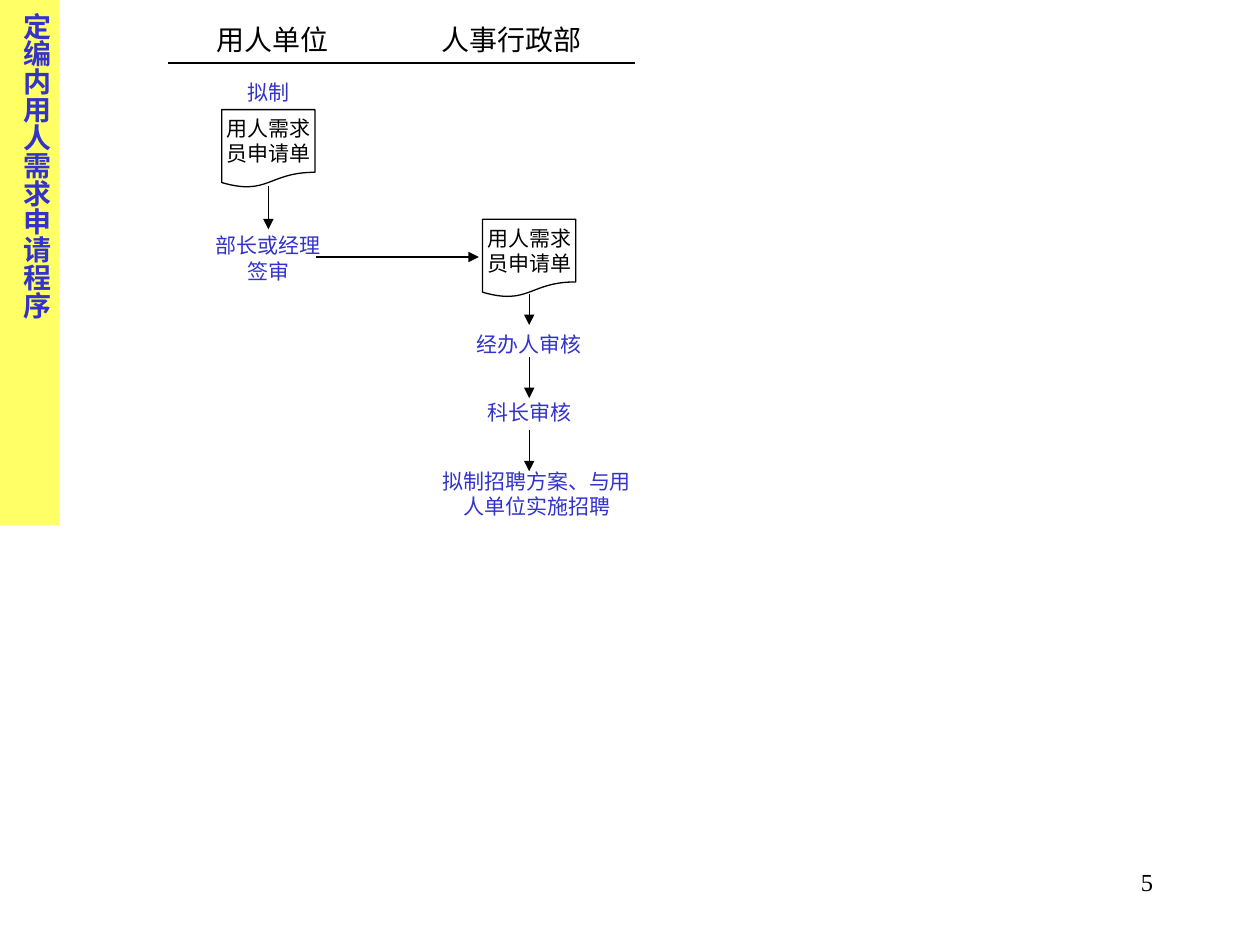
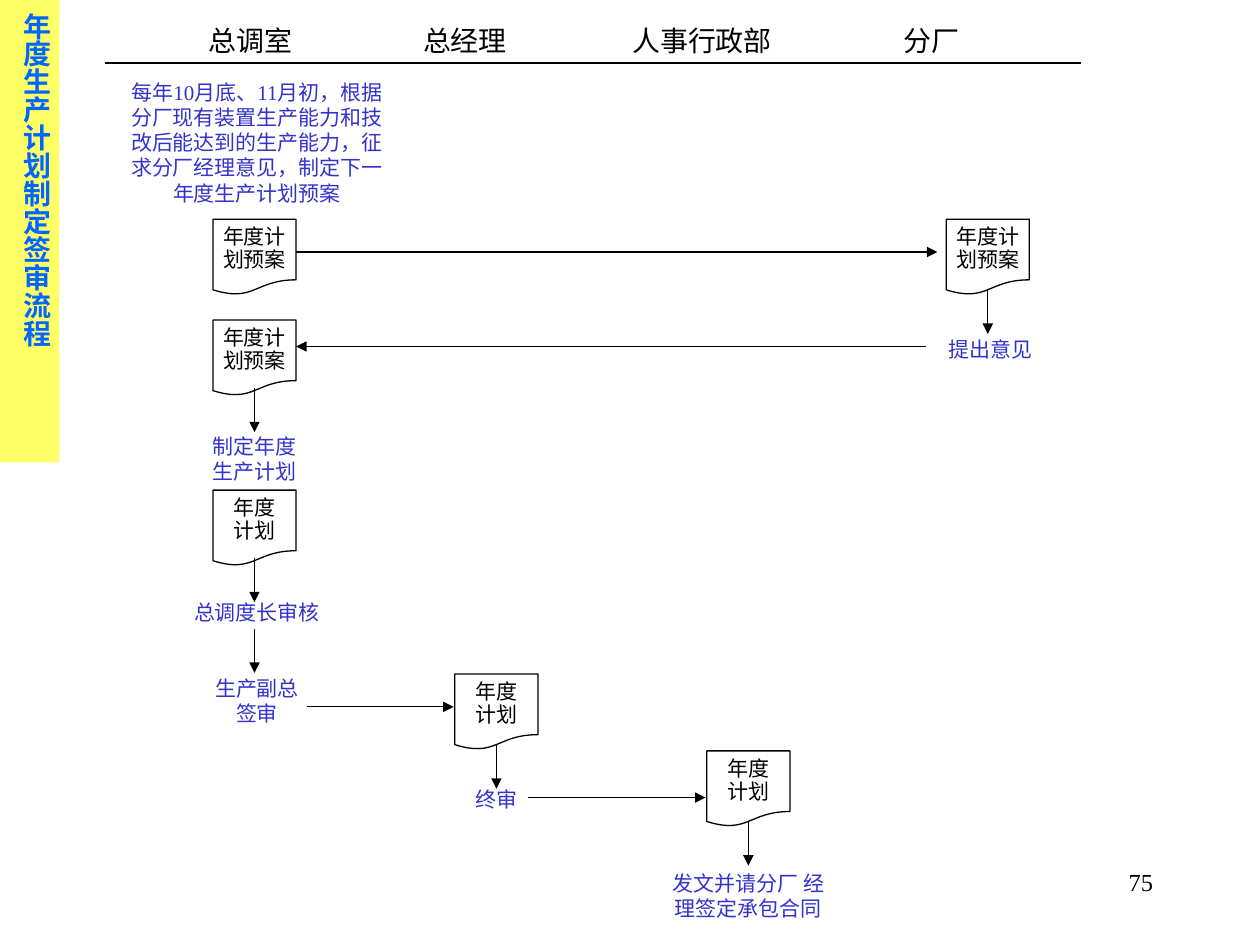
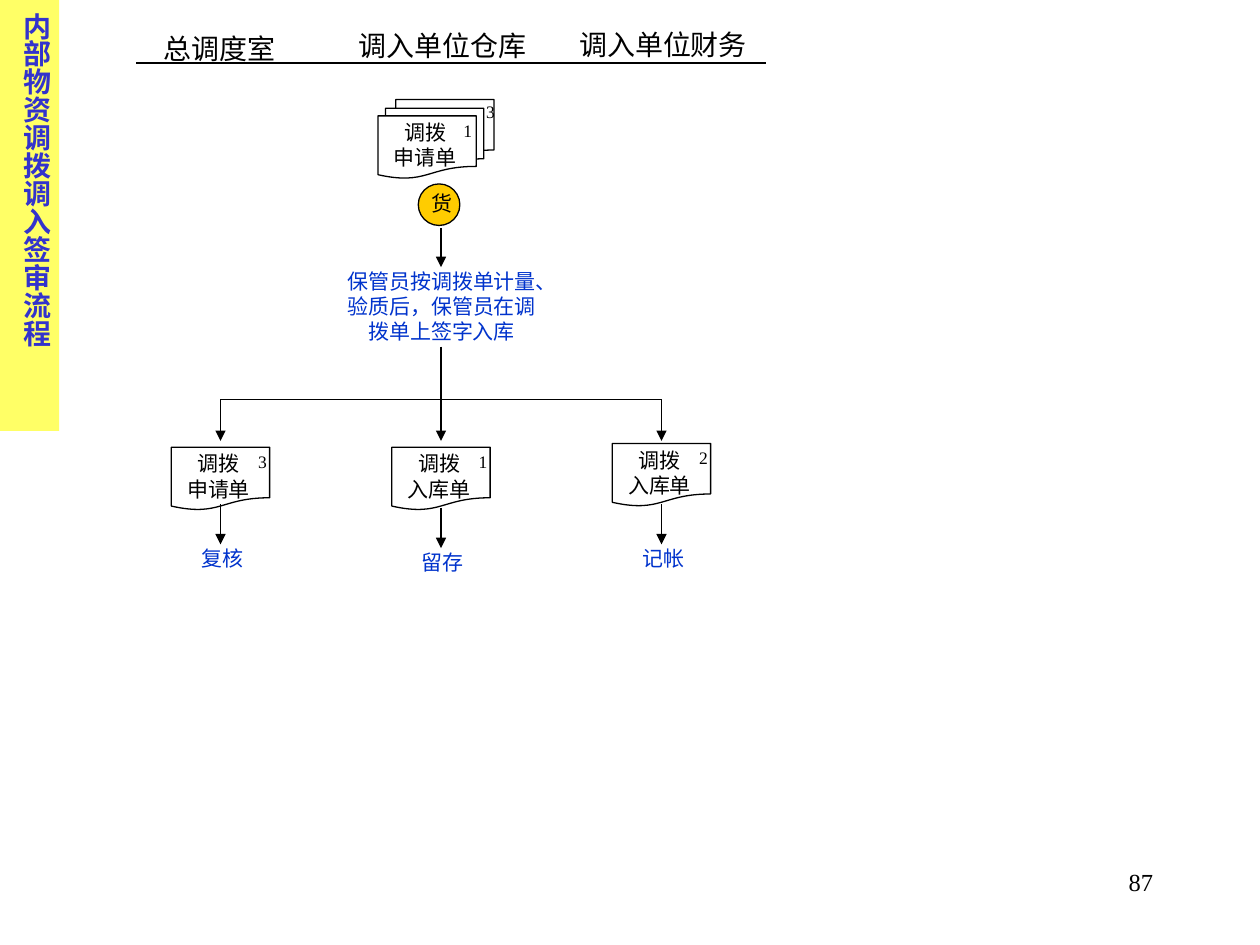
from pptx import Presentation
from pptx.dml.color import RGBColor
from pptx.enum.shapes import MSO_CONNECTOR, MSO_SHAPE
from pptx.enum.text import MSO_ANCHOR, PP_ALIGN
from pptx.oxml.ns import qn
from pptx.util import Inches, Pt

LEFT, CENTER, RIGHT, JUSTIFY = PP_ALIGN.LEFT, PP_ALIGN.CENTER, PP_ALIGN.RIGHT, PP_ALIGN.JUSTIFY
TOP, MIDDLE = MSO_ANCHOR.TOP, MSO_ANCHOR.MIDDLE
DOCUMENT, OVAL, RECTANGLE = MSO_SHAPE.FLOWCHART_DOCUMENT, MSO_SHAPE.OVAL, MSO_SHAPE.RECTANGLE
STRAIGHT = MSO_CONNECTOR.STRAIGHT

BLACK = RGBColor(0x00, 0x00, 0x00)
WHITE = RGBColor(0xFF, 0xFF, 0xFF)
YELLOW = RGBColor(0xFF, 0xFF, 0x66)
GOLD = RGBColor(0xFF, 0xCC, 0x00)
INDIGO = RGBColor(0x33, 0x33, 0xCC)
BRIGHT_BLUE = RGBColor(0x00, 0x66, 0xFF)
DEEP_BLUE = RGBColor(0x00, 0x33, 0xCC)
FONT = "Times New Roman"

BAND_WIDTH = 0.47
RULE_Y = 0.5
HEADING_WIDTH = 1.67


def add_box(slide, box, text="", color=BLACK, size=12, align=CENTER, preset=None, fill=WHITE,
            line=BLACK, spacing=None, bold=False, anchor=TOP, wrap=True):
    """Add a text box, or a filled preset shape, with one paragraph per line of text."""
    lengths = [Inches(length) for length in box]
    if preset is None:
        shape = slide.shapes.add_textbox(*lengths)
    else:
        shape = slide.shapes.add_shape(preset, *lengths)
        shape.shadow.inherit = False
        shape.fill.solid()
        shape.fill.fore_color.rgb = fill
        if line is None:
            shape.line.fill.background()
        else:
            shape.line.color.rgb = line
            shape.line.width = Pt(0.75)
    frame = shape.text_frame
    frame.word_wrap = wrap
    frame.vertical_anchor = anchor
    for index, content in enumerate(text.splitlines()):
        paragraph = frame.add_paragraph() if index else frame.paragraphs[0]
        paragraph.alignment = align
        paragraph.line_spacing = spacing
        run = paragraph.add_run()
        run.text = content
        run.font.name = FONT
        run.font.size = Pt(size)
        run.font.bold = bold
        run.font.color.rgb = color
    return shape


def add_line(slide, x1, y1, x2, y2, arrow=True):
    connector = slide.shapes.add_connector(
        STRAIGHT, Inches(x1), Inches(y1), Inches(x2), Inches(y2))
    connector.line.color.rgb = BLACK
    connector.line.width = Pt(0.75)
    properties = connector._element.spPr
    if arrow:
        outline = connector.line._get_or_add_ln()
        outline.append(outline.makeelement(qn("a:tailEnd"), {"type": "triangle"}))
    properties.append(properties.makeelement(qn("a:effectLst"), {}))


presentation = Presentation()
presentation.slide_width = Inches(10)
presentation.slide_height = Inches(7.5)

# Frame of every slide: title, its colour, band height, rule ends, page, headings (left, top, text)
FRAMES = [
    ("定编内用人需求申请程序", INDIGO, 4.17, (1.33, 5.04), "5",
     [(1.62, 0.13, "用人单位"), (3.41, 0.13, "人事行政部")]),
    ("年度生产计划制定签审流程", BRIGHT_BLUE, 3.67, (0.83, 8.58), "75",
     [(1.56, 0.14, "总调室"), (3.26, 0.14, "总经理"),
      (4.92, 0.14, "人事行政部"), (7.07, 0.14, "分厂")]),
    ("内部物资调拨调入签审流程", INDIGO, 3.42, (1.08, 6.08), "87",
     [(1.2, 0.2, "总调度室"), (2.75, 0.18, "调入单位仓库"), (4.5, 0.17, "调入单位财务")]),
]
slides = []
for title, title_color, band_height, (rule_start, rule_end), page, headings in FRAMES:
    slide = presentation.slides.add_slide(presentation.slide_layouts[6])
    slides.append(slide)
    band = add_box(slide, (0, 0, BAND_WIDTH, band_height), title, title_color, 16, JUSTIFY,
                   preset=RECTANGLE, fill=YELLOW, line=None, bold=True)
    band.text_frame._txBody.bodyPr.set("vert", "eaVert")
    for left, top, heading in headings:
        add_box(slide, (left, top, HEADING_WIDTH, 0.37), heading, size=16, align=LEFT)
    add_line(slide, rule_start, RULE_Y, rule_end, RULE_Y, arrow=False)
    add_box(slide, (7.17, 6.83, 2.08, 0.5), page, size=14, align=RIGHT)
request_slide, plan_slide, transfer_slide = slides

# Staff request: two columns
UNIT, PERSONNEL = 2.13, 4.2
for center, top in [(UNIT, 0.87), (PERSONNEL, 1.74)]:
    add_box(request_slide, (center - 0.37, top, 0.74, 0.62), "用人需求\n员申请单",
            preset=DOCUMENT, anchor=MIDDLE, wrap=False)
for center, top, width, step in [
    (UNIT, 0.58, 0.75, "拟制"),
    (UNIT, 1.8, 1.12, "部长或经理签审"),
    (PERSONNEL, 2.58, 1.5, "经办人审核"),
    (PERSONNEL, 3.12, 1.12, "科长审核"),
    (PERSONNEL + 0.06, 3.67, 1.8, "拟制招聘方案、与用人单位实施招聘"),
]:
    add_box(request_slide, (center - width / 2, top, width, 0.3), step, INDIGO)
for center, start, end in [(UNIT, 1.48, 1.82), (PERSONNEL, 2.33, 2.58),
                           (PERSONNEL, 2.83, 3.16), (PERSONNEL, 3.41, 3.74)]:
    add_line(request_slide, center, start, center, end)
add_line(request_slide, 2.51, 2.04, 3.8, 2.04)

# Yearly plan: four columns
DISPATCH, MANAGER, OFFICE, FACTORY = 2.02, 3.94, 5.94, 7.84
for center, top, text_width, name in [
    (DISPATCH, 1.74, 0.81, "年度计划预案"),
    (FACTORY, 1.74, 0.81, "年度计划预案"),
    (DISPATCH, 2.54, 0.81, "年度计划预案"),
    (DISPATCH, 3.89, 0.66, "年度计划"),
    (MANAGER, 5.35, 0.66, "年度计划"),
    (OFFICE, 5.96, 0.66, "年度计划"),
]:
    add_box(plan_slide, (center - 0.33, top, 0.66, 0.6), preset=DOCUMENT)
    add_box(plan_slide, (center - text_width / 2, top + 0.01, text_width, 0.46), name, spacing=0.9)
for center, top, width, step in [
    (DISPATCH + 0.02, 0.58, 2.25, "每年10月底、11月初，根据分厂现有装置生产能力和技改后能达到的"
                                  "生产能力，征求分厂经理意见，制定下一年度生产计划预案"),
    (FACTORY + 0.02, 2.62, 1.2, "提出意见"),
    (DISPATCH, 3.39, 1.02, "制定年度生产计划"),
    (DISPATCH + 0.02, 4.71, 1.33, "总调度长审核"),
    (DISPATCH + 0.02, 5.31, 0.92, "生产副总签审"),
    (MANAGER, 6.19, 0.92, "终审"),
    (OFFICE, 6.86, 1.56, "发文并请分厂 经理签定承包合同"),
]:
    add_box(plan_slide, (center - width / 2, top, width, 0.3), step, INDIGO)
for center, start in [(FACTORY, 2.3), (DISPATCH, 3.08), (DISPATCH, 4.43), (DISPATCH, 4.99),
                      (MANAGER, 5.91), (OFFICE, 6.52)]:
    add_line(plan_slide, center, start, center, start + 0.35)
for start, end, y in [(2.35, 7.44, 2), (7.35, 2.35, 2.75), (2.44, 3.6, 5.61), (4.19, 5.6, 6.33)]:
    add_line(plan_slide, start, y, end, y)

# Goods transfer: three columns of equal pitch
PITCH = 1.75
STORE = 2 * PITCH
BRANCH_Y = 3.17
for left, top in [(3.14, 0.79), (3.06, 0.86), (3, 0.92)]:
    add_box(transfer_slide, (left, top, 0.78, 0.5), preset=DOCUMENT)
add_box(transfer_slide, (2.96, 0.9, 0.83, 0.5), "调拨\n申请单")
for left, top, copy_number in [(3.58, 0.9, "1"), (3.76, 0.75, "3")]:
    add_box(transfer_slide, (left, top, 0.25, 0.27), copy_number, size=10, align=LEFT)
add_box(transfer_slide, (3.32, 1.46, 0.33, 0.33), preset=OVAL, fill=GOLD)
add_box(transfer_slide, (3.33, 1.46, 0.33, 0.3), "货", align=LEFT)
add_line(transfer_slide, STORE, 1.81, STORE, 2.12)
add_box(transfer_slide, (2.65, 2.08, 1.71, 0.7),
        "保管员按调拨单计量、验质后，保管员在调拨单上签字入库", DEEP_BLUE)
add_line(transfer_slide, STORE, 2.75, STORE, BRANCH_Y, arrow=False)
add_line(transfer_slide, PITCH, BRANCH_Y, 3 * PITCH, BRANCH_Y, arrow=False)
for column, (top, name, copy_number, step, step_top) in enumerate([
    (3.55, "调拨\n申请单", "3", "复核", 4.28),
    (3.55, "调拨\n入库单", "1", "留存", 4.31),
    (3.52, "调拨\n入库单", "2", "记帐", 4.28),
], start=1):
    center = column * PITCH
    add_line(transfer_slide, center, BRANCH_Y, center, 3.5)
    add_box(transfer_slide, (center - 0.39, top, 0.78, 0.5), preset=DOCUMENT)
    add_box(transfer_slide, (center - 0.43, top - 0.02, 0.83, 0.5), name)
    add_box(transfer_slide, (center + 0.2, top - 0.02, 0.25, 0.27), copy_number,
            size=10, align=LEFT)
    add_line(transfer_slide, center, step_top - 0.28, center, step_top + 0.04)
    add_box(transfer_slide, (center - 0.4, step_top, 0.83, 0.3), step, DEEP_BLUE)

presentation.save("out.pptx")
